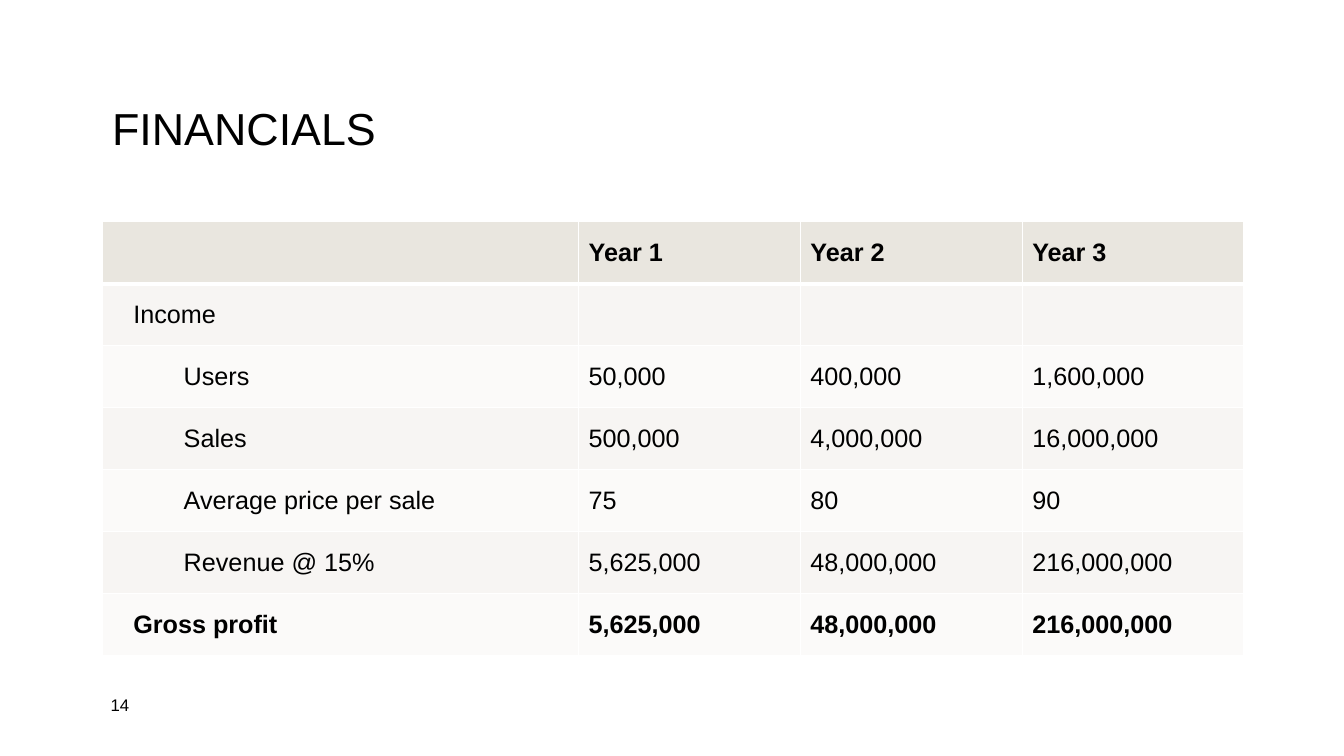
from lxml import etree
from pptx import Presentation
from pptx.dml.color import RGBColor
from pptx.enum.text import MSO_ANCHOR as ANCHOR, MSO_AUTO_SIZE as AUTO, PP_ALIGN as ALIGN
from pptx.oxml.ns import qn
from pptx.util import Cm, Pt

HEADER, BAND_DARK, BAND_LIGHT = "E9E6DF", "F7F5F3", "FBFAF9"
COLUMN_WIDTHS = [12.01, 5.59, 5.59, 5.59]
ROW_HEIGHT = 1.56
# Label, indent level, yearly values
ROWS = [
    ("", 0, ["Year 1", "Year 2", "Year 3"]),
    ("Income", 0, ["", "", ""]),
    ("Users", 1, ["50,000", "400,000", "1,600,000"]),
    ("Sales", 1, ["500,000", "4,000,000", "16,000,000"]),
    ("Average price per sale", 1, ["75", "80", "90"]),
    ("Revenue @ 15%", 1, ["5,625,000", "48,000,000", "216,000,000"]),
    ("Gross profit", 0, ["5,625,000", "48,000,000", "216,000,000"]),
]


def rgb(color):
    return RGBColor.from_string(color)


class FinancialSlide:
    font, ink, line = "Arial", "000000", "FFFFFF"

    def __init__(self, prs):
        self.s = prs.slides.add_slide(prs.slide_layouts[5])

    def run(self, p, text, size, bold=False):
        r = p.add_run()
        r.text = text
        f = r.font
        f.name, f.size, f.bold = self.font, Pt(size), bold
        f.color.rgb = rgb(self.ink)

    def title(self, text, left, top, width, height):
        sp = self.s.shapes.title
        sp.left, sp.top, sp.width, sp.height = map(Cm, (left, top, width, height))
        tf = sp.text_frame
        tf.vertical_anchor, tf.auto_size = ANCHOR.MIDDLE, AUTO.NONE
        p = tf.paragraphs[0]
        p.alignment, p.line_spacing = ALIGN.LEFT, 0.9
        self.run(p, text, 32)

    def text(self, text, left, top, width, height, size):
        sp = self.s.shapes.add_textbox(*map(Cm, (left, top, width, height)))
        tf = sp.text_frame
        tf.word_wrap, tf.vertical_anchor = True, ANCHOR.MIDDLE
        self.run(tf.paragraphs[0], text, size)

    def borders(self, cell, top, bottom):
        """Line all four sides; widths in points, sides are 1 pt."""
        tcPr = cell._tc.get_or_add_tcPr()
        sides = [("a:lnL", 1), ("a:lnR", 1), ("a:lnT", top), ("a:lnB", bottom)]
        for i, (tag, width) in enumerate(sides):
            ln = etree.Element(qn(tag), w=str(Pt(width)))
            fill = etree.SubElement(ln, qn("a:solidFill"))
            etree.SubElement(fill, qn("a:srgbClr"), val=self.line)
            tcPr.insert(i, ln)

    def cell(self, cell, text, fill, bold, level=0):
        cell.fill.solid()
        cell.fill.fore_color.rgb = rgb(fill)
        cell.vertical_anchor = ANCHOR.MIDDLE
        p = cell.text_frame.paragraphs[0]
        if level:
            p.level = level
            pPr = p._p.get_or_add_pPr()
            pPr.set("marL", str(Cm(1.27 * level)))
            pPr.set("indent", "0")
        if text:
            self.run(p, text, 18, bold)

    def table(self, rows, left, top):
        frame = self.s.shapes.add_table(
            len(rows), len(COLUMN_WIDTHS), Cm(left), Cm(top),
            Cm(sum(COLUMN_WIDTHS)), Cm(ROW_HEIGHT * len(rows)))
        tbl = frame.table
        tbl.first_row = tbl.horz_banding = False
        for column, width in zip(tbl.columns, COLUMN_WIDTHS):
            column.width = Cm(width)
        for i, (label, level, values) in enumerate(rows):
            tbl.rows[i].height = Cm(ROW_HEIGHT)
            fill = HEADER if i == 0 else BAND_DARK if i % 2 else BAND_LIGHT
            bold = i in (0, len(rows) - 1)
            for j, text in enumerate([label] + values):
                cell = tbl.cell(i, j)
                self.cell(cell, text, fill, bold, 0 if j else level)
                if j == 0 and i:
                    cell.margin_left = Cm(0.79)
                self.borders(cell, 3 if i == 1 else 1, 3 if i == 0 else 1)


def main():
    prs = Presentation()
    prs.slide_width, prs.slide_height = Cm(33.87), Cm(19.05)
    slide = FinancialSlide(prs)
    slide.title("FINANCIALS", 2.57, 1.63, 28.75, 3.35)
    slide.table(ROWS, 2.57, 5.59)
    slide.text("14", 2.54, 17.35, 1.75, 0.81, 12)
    prs.save("out.pptx")


if __name__ == "__main__":
    main()
